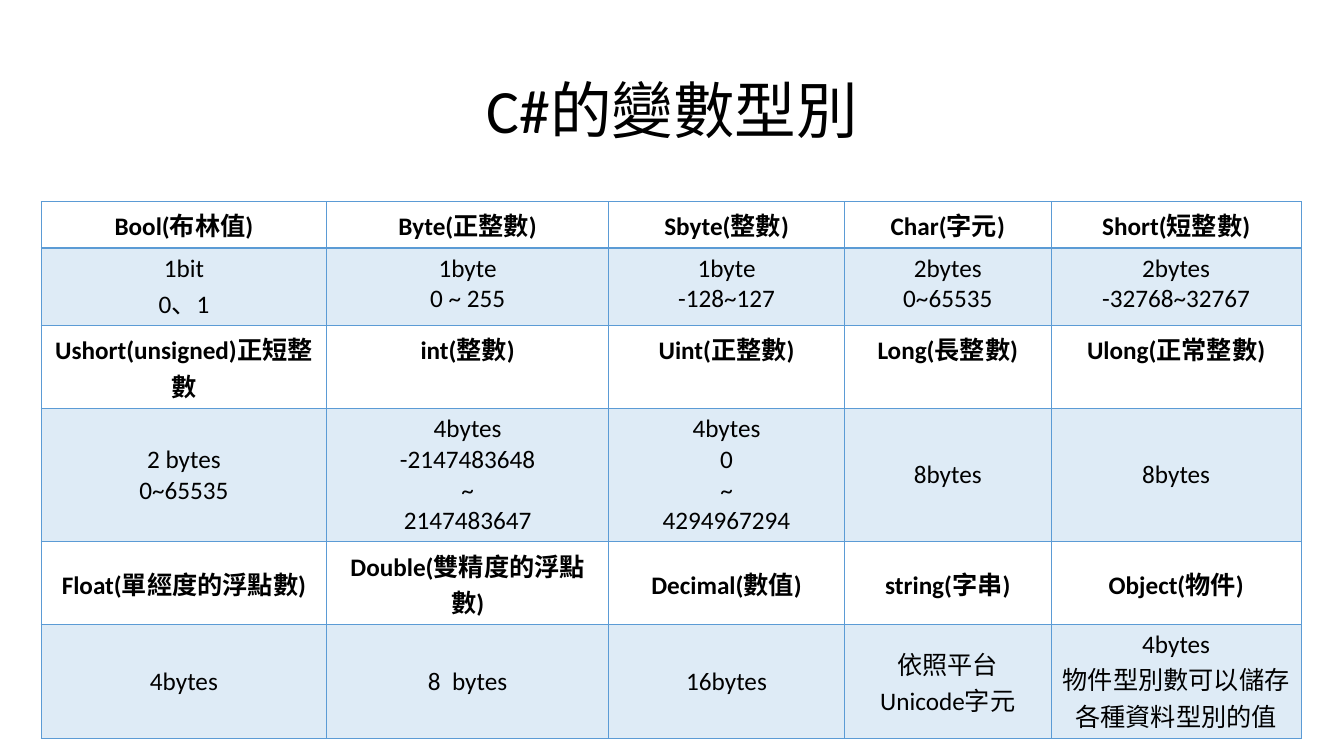
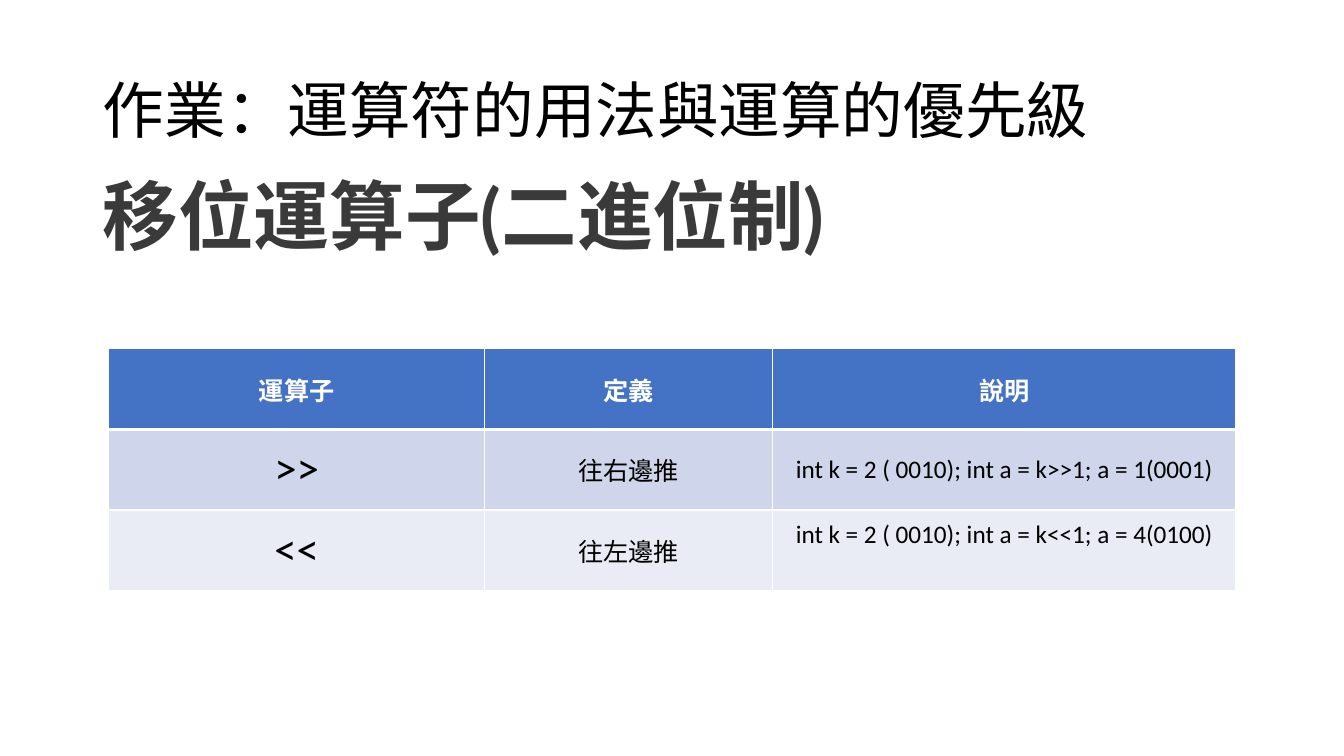
from lxml.etree import SubElement
from pptx import Presentation
from pptx.dml.color import RGBColor
from pptx.enum.text import MSO_ANCHOR, MSO_AUTO_SIZE, PP_ALIGN
from pptx.oxml import parse_xml
from pptx.oxml.ns import nsdecls, qn
from pptx.util import Cm, Pt

HUES = {
    "black": "000000", "white": "FFFFFF", "gray": "3A3A3A", "sky": "5B9BD5",
    "blue": "4472C4", "dark": "CFD5EA", "light": "E9EBF5",
}
FONT = "Calibri"
HEAD = (2.34, 1.02, 29.21, 3.68)

TYPES = [
    ["Bool(布林值)", "Byte(正整數)", "Sbyte(整數)", "Char(字元)", "Short(短整數)"],
    ["1bit\n0、1", "1byte\n0 ~ 255", "1byte\n-128~127", "2bytes\n0~65535", "2bytes\n-32768~32767"],
    ["Ushort(unsigned)正短整數", "int(整數)", "Uint(正整數)", "Long(長整數)", "Ulong(正常整數)"],
    ["2 bytes\n0~65535", "4bytes\n-2147483648\n~\n2147483647", "4bytes\n0\n~\n4294967294",
     "8bytes", "8bytes"],
    ["Float(單經度的浮點數)", "Double(雙精度的浮點數)", "Decimal(數值)", "string(字串)", "Object(物件)"],
    ["4bytes", "8  bytes", "16bytes", "依照平台\nUnicode字元", "4bytes\n物件型別數可以儲存各種資料型別的值"],
]
SHIFTS = [
    ["運算子", "定義", "說明"],
    [">>", "往右邊推", "int k = 2 ( 0010); int a = k>>1; a = 1(0001)"],
    ["<<", "往左邊推", "int k = 2 ( 0010); int a = k<<1; a = 4(0100)"],
]


def rgb(hue):
    return RGBColor.from_string(HUES[hue])


def write(frame, text, size=18, hue="black", font=FONT, bold=False,
          align=PP_ALIGN.CENTER, pitch=None):
    for i, line in enumerate(text.split("\n")):
        para = frame.add_paragraph() if i else frame.paragraphs[0]
        para.alignment = align
        if pitch:
            para.line_spacing = pitch
        run = para.add_run()
        run.text = line
        run.font.size = Pt(size)
        run.font.name = font
        run.font.bold = bold
        run.font.color.rgb = rgb(hue)


def paint(cell, hue, alpha=None):
    if hue is None:
        cell.fill.background()
        return
    cell.fill.solid()
    cell.fill.fore_color.rgb = rgb(hue)
    if alpha:
        tint = cell._tc.tcPr.find(".//" + qn("a:srgbClr"))
        SubElement(tint, qn("a:alpha")).set("val", str(alpha * 1000))


def edge(cell, hue, top=1, low=1):
    props = cell._tc.get_or_add_tcPr()
    for i, (side, width) in enumerate(zip("LRTB", (1, 1, top, low))):
        props.insert(i, parse_xml(
            f'<a:ln{side} {nsdecls("a")} w="{Pt(width)}"><a:solidFill>'
            f'<a:srgbClr val="{HUES[hue]}"/></a:solidFill></a:ln{side}>'))


def title(slide, text, box, align):
    head = slide.shapes.title
    head.left, head.top, head.width, head.height = map(Cm, box)
    frame = head.text_frame
    frame.auto_size = MSO_AUTO_SIZE.NONE
    frame.vertical_anchor = MSO_ANCHOR.MIDDLE
    write(frame, text, size=44, align=align, pitch=0.9)


def label(slide, text, box):
    frame = slide.shapes.add_textbox(*map(Cm, box)).text_frame
    frame.word_wrap = True
    write(frame, text, size=54, hue="gray", font="Lato", bold=True, align=PP_ALIGN.LEFT)


def grid(slide, data, left, top, cols, high, line, thick, style):
    table = slide.shapes.add_table(
        len(data), len(cols), Cm(left), Cm(top), Cm(sum(cols)), Cm(high * len(data))).table
    table.horz_banding = False
    for col, width in zip(table.columns, cols):
        col.width = Cm(width)
    for r, row in enumerate(data):
        for c, text in enumerate(row):
            cell = table.cell(r, c)
            fill, anchor, look = style(r, c)
            paint(cell, *fill)
            edge(cell, line, top=thick if r == 1 else 1, low=1 if r else thick)
            cell.vertical_anchor = anchor
            write(cell.text_frame, text, **look)
    return table


def kind(r, c):
    fill = ("sky", 20) if r % 2 else (None,)
    anchor = MSO_ANCHOR.MIDDLE if r > 2 else MSO_ANCHOR.TOP
    return fill, anchor, {"bold": r % 2 == 0}


def shift(r, c):
    if r == 0:
        look = {"hue": "white", "bold": True}
    else:
        look = {"size": 18 if c else 32}
    return (("blue", "dark", "light")[r],), MSO_ANCHOR.MIDDLE, look


def main():
    deck = Presentation()
    deck.slide_width, deck.slide_height = Cm(33.87), Cm(19.05)
    plain = deck.slide_layouts[5]

    slide = deck.slides.add_slide(plain)
    title(slide, "C#的變數型別", HEAD, PP_ALIGN.CENTER)
    grid(slide, TYPES, 1.04, 5.08, (7.19, 7.11, 5.94, 5.21, 6.3), 1.04, "sky", 2, kind)

    slide = deck.slides.add_slide(plain)
    title(slide, "作業：運算符的用法與運算的優先級", HEAD, PP_ALIGN.LEFT)
    label(slide, "移位運算子(二進位制)", (2.34, 4.14, 28.4, 4.27))
    table = grid(slide, SHIFTS, 2.74, 8.79, (9.47, 7.26, 11.68), 2.03, "white", 3, shift)
    table.cell(2, 2).margin_bottom = Cm(0.89)

    deck.save("out.pptx")


if __name__ == "__main__":
    main()
